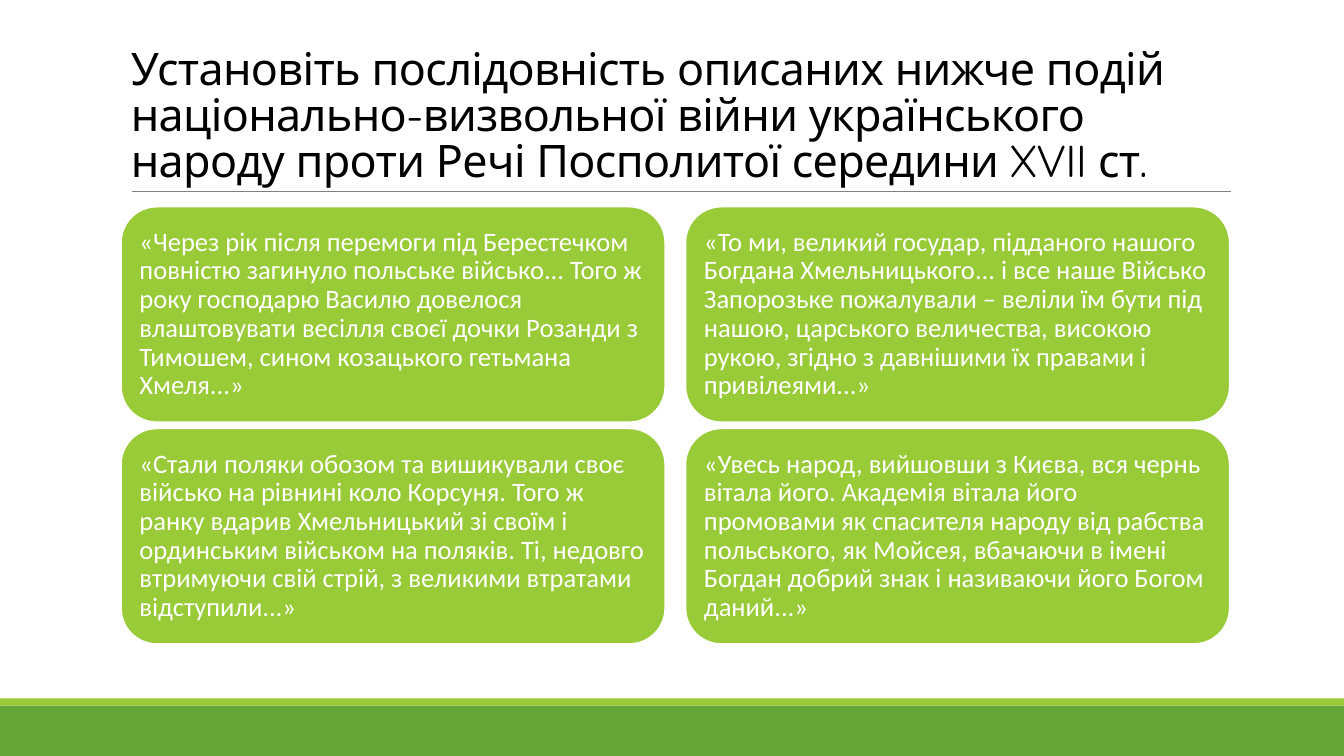
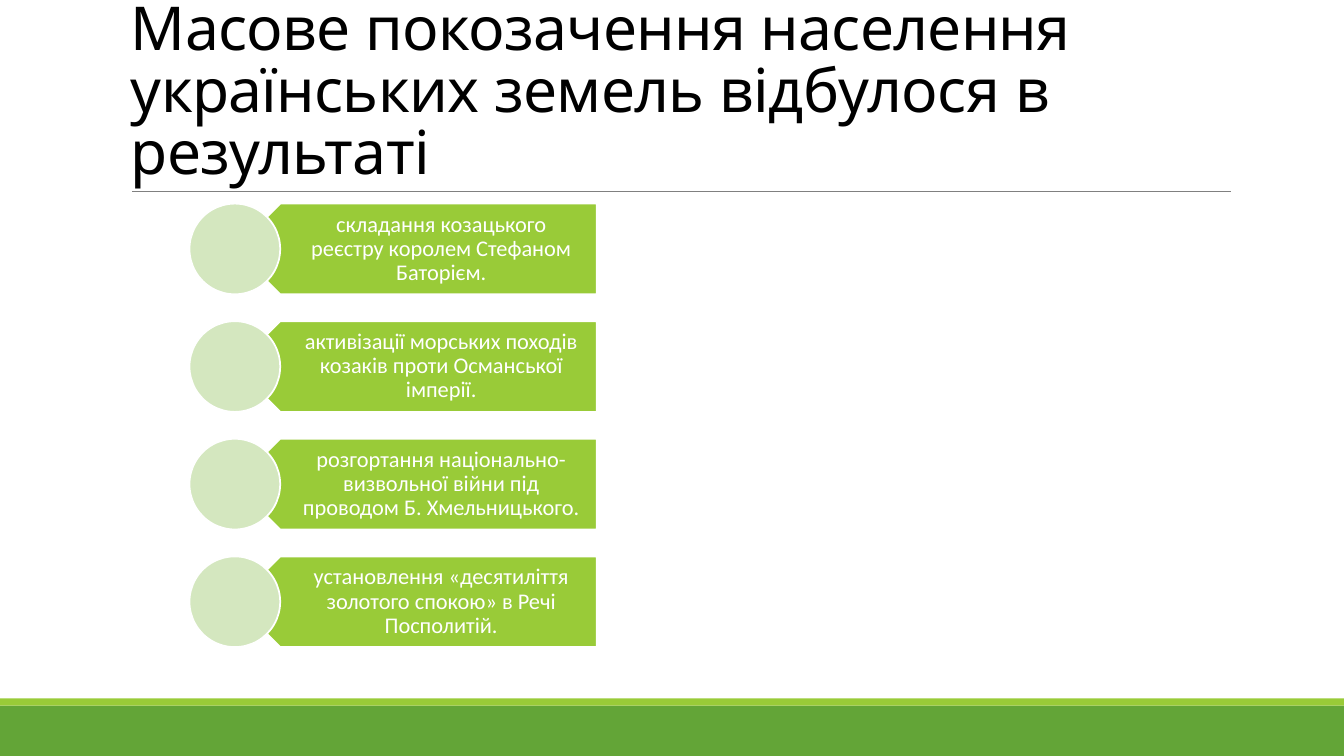
from pptx import Presentation
from pptx.dml.color import RGBColor
from pptx.enum.shapes import MSO_CONNECTOR as Connector, MSO_SHAPE as Preset
from pptx.enum.text import MSO_ANCHOR as Anchor, PP_ALIGN as Align
from pptx.oxml.ns import qn
from pptx.util import Inches, Pt
from lxml.etree import SubElement

COLORS = {
    "band": "63A537",
    "accent": "99CB38",
    "circle": "D4E7BF",
    "rule": "808080",
    "title": "000000",
    "white": "FFFFFF",
}
CELL = 0.1  # side of one grid cell in inches; all places count these cells
SLIDE_COLUMNS, SLIDE_ROWS = 133.33, 75
CONTENT_LEFT, CONTENT_WIDTH = 12, 110

QUOTE_COLUMNS = [
    [
        "«Через рік після перемоги під Берестечком повністю загинуло польське військо... Того ж року "
        "господарю Василю довелося влаштовувати весілля своєї дочки Розанди з Тимошем, сином "
        "козацького гетьмана Хмеля...»",
        "«Стали поляки обозом та вишикували своє військо на рівнині коло Корсуня. Того ж ранку вдарив "
        "Хмельницький зі своїм і ординським військом на поляків. Ті, недовго втримуючи свій стрій, "
        "з великими втратами відступили...»",
    ],
    [
        "«То ми, великий государ, підданого нашого Богдана Хмельницького... і все наше Військо "
        "Запорозьке пожалували – веліли їм бути під нашою, царського величества, високою рукою, "
        "згідно з давнішими їх правами і привілеями...»",
        "«Увесь народ, вийшовши з Києва, вся чернь вітала його. Академія вітала його промовами як "
        "спасителя народу від рабства польського, як Мойсея, вбачаючи в імені Богдан добрий знак "
        "і називаючи його Богом даний...»",
    ],
]
ANSWERS = [
    "складання козацького реєстру королем Стефаном Баторієм.",
    "активізації морських походів козаків проти Османської імперії.",
    "розгортання національно-визвольної війни під проводом Б. Хмельницького.",
    "установлення «десятиліття золотого спокою» в Речі Посполитій.",
]


def cells(*counts):
    return [Inches(count * CELL) for count in counts]


def color(name):
    return RGBColor.from_string(COLORS[name])


class Deck:
    """Holds the shared style and the slide being built."""

    def __init__(self):
        self.presentation = Presentation()
        size = cells(SLIDE_COLUMNS, SLIDE_ROWS)
        self.presentation.slide_width, self.presentation.slide_height = size
        self.slide = None

    def new_slide(self, title, title_size):
        self.slide = self.presentation.slides.add_slide(self.presentation.slide_layouts[6])
        # Footer bands
        self.shape(Preset.RECTANGLE, (0, 70, SLIDE_COLUMNS, 5), "band", outlined=False)
        self.shape(Preset.RECTANGLE, (0, 69.3, SLIDE_COLUMNS, 0.7), "accent", outlined=False)
        # Rule under the title
        self.rule(13.1, 122.1, 19)
        self.title(title, title_size)

    def shape(self, preset, box, fill, outlined=True):
        shape = self.slide.shapes.add_shape(preset, *cells(*box))
        shape.shadow.inherit = False
        shape.fill.solid()
        shape.fill.fore_color.rgb = color(fill)
        if outlined:
            shape.line.color.rgb = color("white")
            shape.line.width = Pt(1.25)
        else:
            shape.line.fill.background()
        return shape

    def rule(self, left, right, row):
        line = self.slide.shapes.add_connector(Connector.STRAIGHT, *cells(left, row, right, row))
        line.line.color.rgb = color("rule")
        line.line.width = Pt(0.5)
        SubElement(line._element.spPr, qn("a:effectLst"))

    def text(self, shape, text, size, font="Calibri", ink="white", spacing=0.9,
             align=Align.LEFT, anchor=Anchor.MIDDLE, insets=(1, 0.5, 1, 0.5)):
        frame = shape.text_frame
        frame.word_wrap = True
        frame.vertical_anchor = anchor
        (frame.margin_left, frame.margin_top,
         frame.margin_right, frame.margin_bottom) = cells(*insets)
        paragraph = frame.paragraphs[0]
        paragraph.text = text
        paragraph.alignment = align
        paragraph.line_spacing = spacing
        paragraph.font.name = font
        paragraph.font.size = Pt(size)
        paragraph.font.color.rgb = color(ink)
        return paragraph

    def title(self, text, size):
        box = self.slide.shapes.add_textbox(*cells(CONTENT_LEFT, 3.1, CONTENT_WIDTH, 15.9))
        paragraph = self.text(box, text, size, font="Quicksand", ink="title",
                              spacing=0.85, anchor=Anchor.BOTTOM)
        # Tighten the letters by half a point
        paragraph.runs[0]._r.get_or_add_rPr().set("spc", "-50")

    def quote_card(self, text, box):
        card = self.shape(Preset.ROUNDED_RECTANGLE, box, "accent")
        self.text(card, text, 19, insets=(0.8,) * 4)

    def answer(self, text, left, top, width, height):
        # The plate starts at the centre of the circle and points left
        plate_box = (left + height / 2, top, width - height / 2, height)
        plate = self.shape(Preset.PENTAGON, plate_box, "accent")
        plate._element.spPr.get_or_add_xfrm().set("flipH", "1")
        self.text(plate, text, 16, align=Align.CENTER, insets=(4, 0.7, 1.2, 0.7))
        self.shape(Preset.OVAL, (left, top, height, height), "circle")

    def save(self):
        self.presentation.save("out.pptx")


def build_quotes(deck):
    deck.new_slide("Установіть послідовність описаних нижче подій національно-визвольної війни "
                   "українського народу проти Речі Посполитої середини XVII ст.", 32)
    width, height, column_gap, row_gap = 54, 21.4, 2, 0.6
    for column, quotes in enumerate(QUOTE_COLUMNS):
        for row, quote in enumerate(quotes):
            left = CONTENT_LEFT + column * (width + column_gap)
            top = 20.5 + row * (height + row_gap)
            deck.quote_card(quote, (left, top, width, height))


def build_answers(deck):
    deck.new_slide("Масове покозачення населення українських земель відбулося в результаті", 43.2)
    first_top, last_top = 20.2, 55.2
    pitch = (last_top - first_top) / (len(ANSWERS) - 1)
    for row, answer in enumerate(ANSWERS):
        deck.answer(answer, 18.8, first_top + row * pitch, 40.4, 9)


def main():
    deck = Deck()
    build_quotes(deck)
    build_answers(deck)
    deck.save()


if __name__ == "__main__":
    main()
